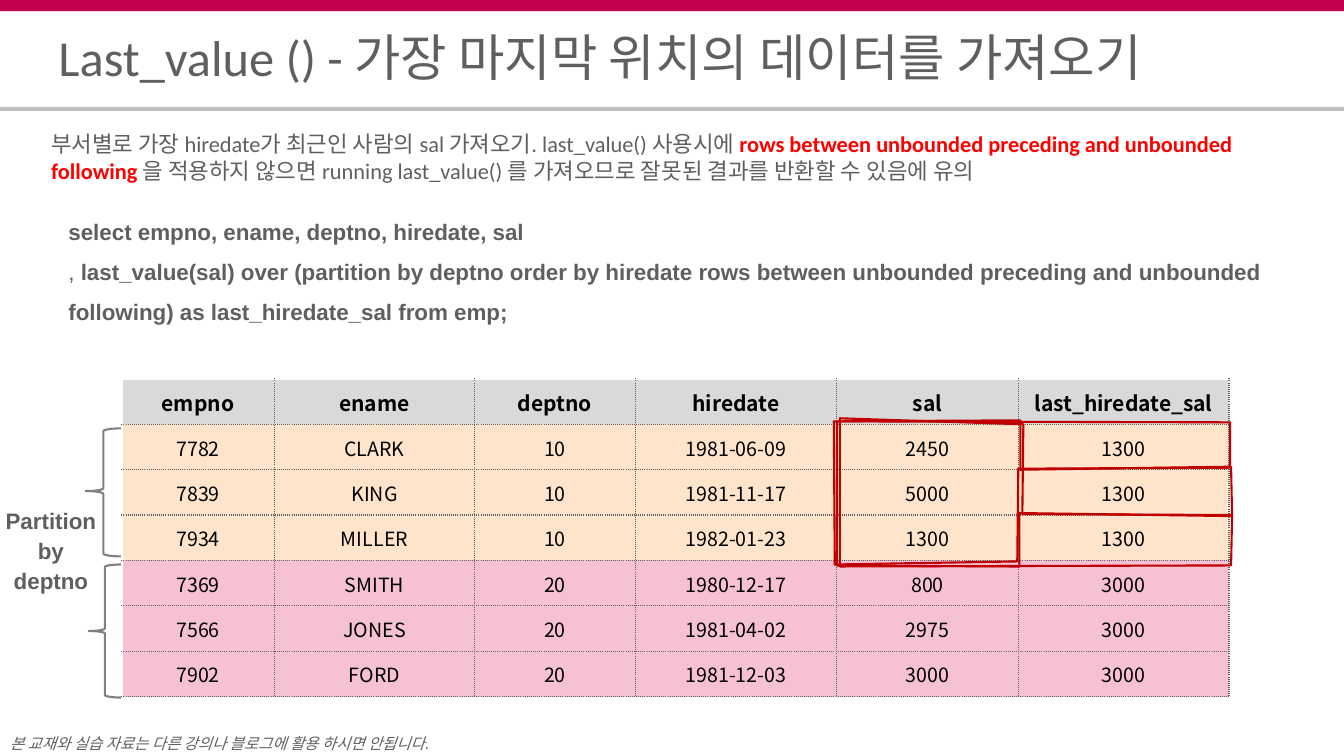
from lxml.etree import SubElement
from pptx import Presentation
from pptx.dml.color import RGBColor
from pptx.enum.shapes import MSO_SHAPE
from pptx.enum.text import MSO_ANCHOR, MSO_AUTO_SIZE, PP_ALIGN
from pptx.oxml.ns import qn
from pptx.util import Pt

SCALE = 9144
GRAY = "5F5F5F"
RED = "C00000"


def px(length):
    return length * SCALE


def color(value):
    return RGBColor.from_string(value)


class SlideBuilder:
    font = "Arial"
    text_color = GRAY
    line_width = Pt(1.5)

    def __init__(self, deck):
        self.page = deck.slides.add_slide(deck.slide_layouts[5])

    def span(self, para, text, size, font=None, ink=None, bold=False, italic=False):
        span = para.add_run()
        span.text = text
        span.font.name = font or self.font
        span.font.size = Pt(size)
        span.font.bold = bold
        span.font.italic = italic
        span.font.color.rgb = color(ink or self.text_color)

    def frame(self, box, inset=None, wrap=True):
        frame = box.text_frame
        frame.word_wrap = wrap
        frame.auto_size = MSO_AUTO_SIZE.NONE
        if inset is not None:
            frame.margin_left = frame.margin_right = px(inset)
            frame.margin_top = frame.margin_bottom = px(inset)
        return frame

    def title(self, text, left, top, width, height):
        box = self.page.shapes.title
        box.left, box.top, box.width, box.height = map(px, (left, top, width, height))
        frame = self.frame(box, inset=0)
        frame.vertical_anchor = MSO_ANCHOR.MIDDLE
        para = frame.paragraphs[0]
        para.alignment = PP_ALIGN.LEFT
        para.line_spacing = 0.8
        self.span(para, text, 36, "Calibri")

    def text(self, area, paragraphs, size, spacing=1.0, align=PP_ALIGN.LEFT,
             font=None, inset=None, wrap=True):
        box = self.page.shapes.add_textbox(*map(px, area))
        frame = self.frame(box, inset, wrap)
        for index, spans in enumerate(paragraphs):
            para = frame.add_paragraph() if index else frame.paragraphs[0]
            para.alignment = align
            para.line_spacing = spacing
            for text, style in spans:
                self.span(para, text, size, font, **style)

    def outline(self, shape, line):
        shape.shadow.inherit = False
        shape.fill.background()
        shape.line.color.rgb = color(line)
        shape.line.width = self.line_width

    def bar(self, area, fill):
        bar = self.page.shapes.add_shape(MSO_SHAPE.RECTANGLE, *map(px, area))
        bar.shadow.inherit = False
        bar.fill.solid()
        bar.fill.fore_color.rgb = color(fill)
        bar.line.fill.background()

    def brace(self, area, middle):
        brace = self.page.shapes.add_shape(MSO_SHAPE.LEFT_BRACE, *map(px, area))
        brace.adjustments[0] = 0.08
        brace.adjustments[1] = middle
        self.outline(brace, "808080")

    def polygon(self, points):
        builder = self.page.shapes.build_freeform(*points[0], scale=SCALE)
        builder.add_line_segments(points[1:], close=True)
        self.outline(builder.convert_to_shape(), RED)

    def borders(self, cell, sides):
        properties = cell._tc.get_or_add_tcPr()
        for side in sides:
            line = SubElement(properties, qn("a:ln" + side), w=str(Pt(1)))
            fill = SubElement(line, qn("a:solidFill"))
            SubElement(fill, qn("a:srgbClr"), val=GRAY)
            SubElement(line, qn("a:prstDash"), val="sysDot")

    def table(self, left, top, widths, row_height, rows, fills):
        area = (left, top, sum(widths), row_height * len(rows))
        table = self.page.shapes.add_table(len(rows), len(widths), *map(px, area)).table
        table.horz_banding = False
        for column, width in zip(table.columns, widths):
            column.width = px(width)
        for row_index, (values, fill) in enumerate(zip(rows, fills)):
            table.rows[row_index].height = px(row_height)
            header = row_index == 0
            for column_index, value in enumerate(values):
                cell = table.cell(row_index, column_index)
                sides = ["L"] * (column_index > 0) + ["R"] + ["T"] * (not header) + ["B"]
                self.borders(cell, sides)
                cell.fill.solid()
                cell.fill.fore_color.rgb = color(fill)
                cell.margin_left = cell.margin_right = cell.margin_top = px(1)
                cell.margin_bottom = 0
                cell.vertical_anchor = MSO_ANCHOR.MIDDLE
                para = cell.text_frame.paragraphs[0]
                para.alignment = PP_ALIGN.CENTER
                self.span(para, value, 15 if header else 14, "Noto Sans CJK KR",
                          "000000", bold=header)


EMPLOYEES = [
    ("empno", "ename", "deptno", "hiredate", "sal", "last_hiredate_sal"),
    ("7782", "CLARK", "10", "1981-06-09", "2450", "1300"),
    ("7839", "KING", "10", "1981-11-17", "5000", "1300"),
    ("7934", "MILLER", "10", "1982-01-23", "1300", "1300"),
    ("7369", "SMITH", "20", "1980-12-17", "800", "3000"),
    ("7566", "JONES", "20", "1981-04-02", "2975", "3000"),
    ("7902", "FORD", "20", "1981-12-03", "3000", "3000"),
]
ROW_FILLS = ["D9D9D9"] + ["FFE4CC"] * 3 + ["F6C1D3"] * 3
WINDOW_OUTLINES = [
    [(827, 418), (828, 560), (1009, 557), (1010, 465), (1220, 464), (1220, 419)],
    [(830, 418), (830, 561), (1011, 562), (1011, 509), (1222, 512), (1221, 463),
     (1012, 466), (1012, 417)],
    [(833, 415), (833, 562), (1221, 561), (1222, 511), (1014, 510), (1015, 421)],
]


def main():
    deck = Presentation()
    deck.slide_width, deck.slide_height = px(1333), px(750)
    slide = SlideBuilder(deck)
    bold = {"bold": True}

    slide.bar((0, 0, 1333, 11), "C3004D")
    slide.bar((0, 106, 1333, 4), "BFBFBF")
    slide.text((10, 719, 481, 31), [
        [("본 교재와 실습 자료는 다른 강의나 블로그에 활용 하시면 안됩니다.", {"italic": True})],
    ], 11, spacing=1.5, inset=0)
    slide.title("Last_value () - 가장 마지막 위치의 데이터를 가져오기", 58, 33, 1217, 58)
    slide.table(121, 376, [151, 199, 159, 200, 180, 209], 45, EMPLOYEES, ROW_FILLS)
    slide.text((0, 501, 101, 100), [
        [(word, bold)] for word in ("Partition", "by", "deptno")
    ], 16, spacing=1.1, align=PP_ALIGN.CENTER, inset=0, wrap=False)
    slide.brace((85, 425, 35, 127), 0.49)
    slide.brace((88, 560, 32, 132), 0.5)
    slide.text((58, 198, 1241, 131), [
        [("select empno, ename, deptno, hiredate, sal", bold)],
        [(", ", {}),
         ("last_value(sal) over (partition by deptno order by hiredate rows between "
          "unbounded preceding and unbounded following) as last_hiredate_sal from emp;",
          bold)],
    ], 16, spacing=1.5)
    slide.text((41, 124, 1234, 64), [[
        ("부서별로 가장 hiredate가 최근인 사람의 sal 가져오기. last_value() 사용시에 ", {}),
        ("rows between unbounded preceding and unbounded following ",
         {"bold": True, "ink": "FF0000"}),
        ("을 적용하지 않으면 running last_value() 를 가져오므로 잘못된 결과를 반환할 수 "
         "있음에 유의", {}),
    ]], 16, font="Calibri")
    for points in WINDOW_OUTLINES:
        slide.polygon(points)

    deck.save("out.pptx")


if __name__ == "__main__":
    main()
